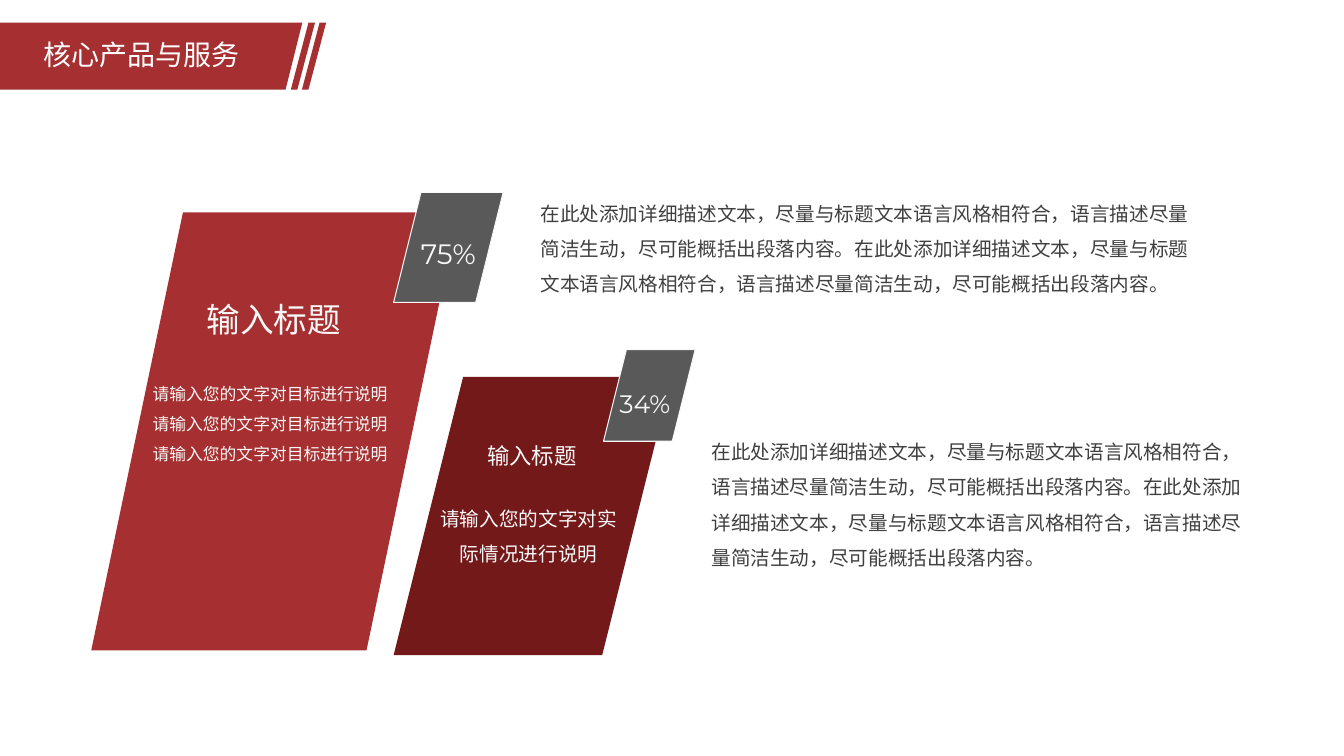
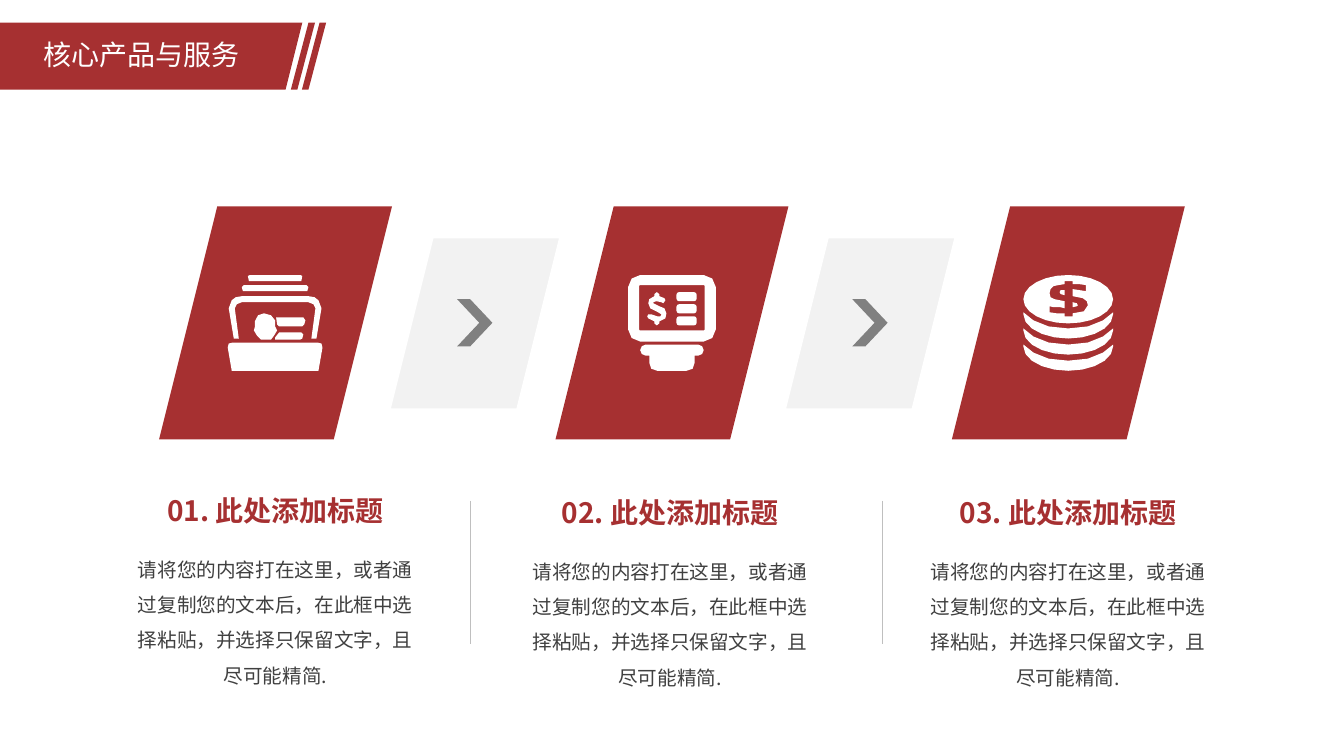
from math import cos, radians, sin

from lxml import etree
from pptx import Presentation
from pptx.dml.color import RGBColor
from pptx.enum.shapes import MSO_CONNECTOR, MSO_SHAPE
from pptx.enum.text import MSO_ANCHOR, MSO_AUTO_SIZE, PP_ALIGN
from pptx.oxml.ns import qn
from pptx.util import Cm, Pt

# ---- Shared style ----
COLORS = {
    "red": "A63031", "dark_red": "74191A", "gray": "595959", "arrow": "808080",
    "pale": "F2F2F2", "rule": "BFBFBF", "text": "404040",
    "light": "F8F8F8", "white": "FFFFFF",
}
CJK, LATIN = "Noto Sans CJK SC", "Montserrat"
SLANT = MSO_SHAPE.PARALLELOGRAM
WIDE_INSET, TIGHT_INSET = (0.25, 0.13), (0.19, 0.1)

TITLE = "核心产品与服务"
BAND_TOP, BAND_H = 0.57, 1.69
STRIPES = (7.33, 7.61)

# ---- Slide 1 content: boxes are left, top, width, height in cm ----
PANELS = [
    ((2.3, 5.35, 9.25, 11.04), "red"),
    ((9.92, 9.5, 7.01, 7.01), "dark_red"),
]
BADGES = [(9.92, 4.85, 2.76, 2.77), (15.21, 8.81, 2.31, 2.31)]
DETAIL = ("在此处添加详细描述文本，尽量与标题文本语言风格相符合，"
          "语言描述尽量简洁生动，尽可能概括出段落内容。") * 2
# box, text, size, font, colour, centred, wrapped
LABELS = [
    ((10.27, 5.86, 2.06, 1.04), "75%", 20, LATIN, "light", True, False),
    ((15.42, 9.68, 1.88, 0.97), "34%", 18, LATIN, "light", False, False),
    ((5.02, 7.44, 3.81, 1.22), "输入标题", 24, CJK, "light", False, False),
    ((3.51, 9.31, 6.6, 2.41), "请输入您的文字对目标进行说明" * 3,
     12, CJK, "light", True, True),
    ((12.09, 11.05, 2.67, 0.86), "输入标题", 16, CJK, "light", False, False),
    ((10.85, 12.37, 4.95, 1.83), "请输入您的文字对实际情况进行说明",
     14, CJK, "light", True, True),
    ((13.43, 4.69, 16.94, 2.74), DETAIL, 14, CJK, "text", False, True),
    ((17.74, 10.69, 14.17, 3.63), DETAIL, 14, CJK, "text", False, True),
]

# ---- Slide 2 content ----
STEP_TITLE = "此处添加标题"
STEP_BODY = ("请将您的内容打在这里，或者通过复制您的文本后，"
             "在此框中选择粘贴，并选择只保留文字，且尽可能精简.")
STEP_TEXT_AT = [(3.17, 12.4), (13.12, 12.45), (23.15, 12.45)]
TILE_X, TILE_Y, TILE, TILE_PITCH = 4.01, 5.2, 5.87, 9.99
LINK_X, LINK_Y, LINK, LINK_PITCH = 9.74, 5.92, 4.46, 9.96
RULES_X, RULE_TOP, RULE_BOTTOM = (11.84, 22.22), 12.62, 16.23
ICON_X, ICON_Y = (5.74, 15.83, 25.79), 6.93


# ---- Icon outlines, on a grid of 100 units to 2.54 cm ----
GRID = 0.0254


def arc(cx, cy, rx, ry, start, end, steps):
    angles = [radians(start + (end - start) * i / steps) for i in range(steps + 1)]
    return [(cx + rx * cos(a), cy + ry * sin(a)) for a in angles]


def rounded(x, y, w, h, r):
    corners = [(x + w - r, y + h - r), (x + r, y + h - r), (x + r, y + r), (x + w - r, y + r)]
    return [pt for i, (cx, cy) in enumerate(corners)
            for pt in arc(cx, cy, r, r, 90 * i, 90 * i + 90, 2)]


def mirrored(left, width):
    return left + [(width - x, y) for x, y in reversed(left)]


def coin_edge(shift):
    rim = [(0, 37), (10, 45), (25, 51), (44.5, 53)]
    edge = mirrored(rim[:-1], 89)
    edge.insert(3, rim[-1])
    edge += arc(44.5, 39, 44.5, 24, 0, 180, 10)
    return [(x, y + shift) for x, y in edge]


FILE_ICON = [
    mirrored([(21, 6), (20, 1), (22, 0)], 94),
    mirrored([(15, 16), (14, 12), (16, 10)], 94),
    mirrored([(14, 27), (9, 29), (7, 33), (11, 63), (6, 63),
              (1, 33), (4, 25), (8, 22), (14, 21)], 94),
    mirrored([(4, 95), (0, 72), (1, 68), (5, 67)], 94),
    [(36, 38), (30, 40), (27, 46), (27, 51), (26, 55), (29, 60), (33, 64),
     (43, 64), (46, 60), (49, 55), (47, 51), (47, 45), (43, 40)],
    [(48, 42), (75, 42), (77, 45), (76, 49), (74, 51), (51, 51), (49, 49)],
    [(51, 57), (73, 57), (75, 59), (74, 63), (72, 64), (47, 64), (47, 62)],
]
TERMINAL_ICON = [
    rounded(0, 0, 87, 66, 12),
    rounded(11, 10, 65, 45, 1),
    *[rounded(48, y, 20, 9, 2.5) for y in (17, 29, 41)],
    rounded(12, 69, 63, 11, 5.5)[:6] + rounded(12, 69, 63, 11, 5.5)[6:],
    [(31, 31), (25, 28), (25, 27), (28, 26), (33, 27), (35, 28), (37, 25), (36, 23),
     (31, 21), (31, 19), (28.5, 17), (26, 19), (26, 21), (21, 24), (20, 28), (22, 33),
     (28, 36), (33, 39), (32, 41), (29, 41), (23, 39), (20, 39), (19, 41), (20, 43),
     (26, 46), (26, 48), (28.5, 50), (31, 48), (31, 46), (37, 43), (38, 38), (36, 33)],
    mirrored([(21, 80), (21, 87), (23, 93), (29, 95)][::-1], 87),
]
COINS_ICON = [
    arc(44.5, 24, 44.5, 24, 0, 345, 23),
    [(41, 6), (41, 9), (35, 10), (30, 11), (27, 14), (26, 18), (27, 22), (31, 24),
     (36, 25), (41, 26), (41, 33), (37, 32), (30, 32), (26, 31), (26, 37), (33, 38),
     (41, 38), (41, 41), (49, 41), (49, 38), (60, 36), (64, 30), (63, 26), (59, 23),
     (54, 22), (49, 21), (49, 14), (62, 16), (62, 10), (55, 9), (49, 9), (49, 6)],
    [(49, 27), (53, 28), (54, 30), (53, 31), (49, 32)],
    [(41, 15), (41, 20), (37, 19), (36, 17), (37, 15)],
    *[coin_edge(shift) for shift in (0, 16, 32)],
]
ICONS = (FILE_ICON, TERMINAL_ICON, COINS_ICON)


# ---- Helpers ----
def rgb(name):
    return RGBColor.from_string(COLORS[name])


def paint(sp, fill, line=None):
    sp.shadow.inherit = False
    sp.fill.solid()
    sp.fill.fore_color.rgb = rgb(fill)
    if line:
        sp.line.color.rgb = rgb(line[0])
        sp.line.width = Pt(line[1])
    else:
        sp.line.fill.background()


def add_shape(s, kind, box, fill, line=None, adj=None):
    sp = s.shapes.add_shape(kind, *[Cm(v) for v in box])
    paint(sp, fill, line)
    if adj is not None:
        sp.adjustments[0] = adj


def add_icon(s, outlines, x, y):
    """One freeform; outlines inside another cut holes."""
    fb = None
    for outline in outlines:
        first, *rest = [(Cm(x + px * GRID), Cm(y + py * GRID)) for px, py in outline]
        if fb is None:
            fb = s.shapes.build_freeform(*first)
        else:
            fb.move_to(*first)
        fb.add_line_segments(rest, close=True)
    paint(fb.convert_to_shape(), "white")


def add_text(s, box, text, size, color, font=CJK, center=False, wrap=True,
             spacing=None, bold=False, inset=WIDE_INSET, grow=False, bottom=False):
    tf = s.shapes.add_textbox(*[Cm(v) for v in box]).text_frame
    tf.word_wrap = wrap
    tf.auto_size = MSO_AUTO_SIZE.SHAPE_TO_FIT_TEXT if grow else MSO_AUTO_SIZE.NONE
    tf.vertical_anchor = MSO_ANCHOR.BOTTOM if bottom else MSO_ANCHOR.TOP
    tf.margin_left = tf.margin_right = Cm(inset[0])
    tf.margin_top = tf.margin_bottom = Cm(inset[1])
    p = tf.paragraphs[0]
    p.alignment = PP_ALIGN.CENTER if center else PP_ALIGN.LEFT
    if spacing:
        p.line_spacing = spacing
    r = p.add_run()
    r.text = text
    r.font.size = Pt(size)
    r.font.bold = bold
    r.font.color.rgb = rgb(color)
    r.font.name = font
    etree.SubElement(r.font._element, qn("a:ea"), typeface=font)


def add_rule(s, x, top, bottom):
    c = s.shapes.add_connector(MSO_CONNECTOR.STRAIGHT, Cm(x), Cm(top), Cm(x), Cm(bottom))
    c.line.color.rgb = rgb("rule")
    c.line.width = Pt(0.25)
    etree.SubElement(c._element.spPr, qn("a:effectLst"))


def new_slide(prs):
    """Blank slide with the slanted title band."""
    s = prs.slides.add_slide(prs.slide_layouts[6])
    add_shape(s, SLANT, (-0.46, BAND_TOP, 8.08, BAND_H), "red")
    for x in STRIPES:
        add_shape(s, SLANT, (x, BAND_TOP, 0.61, BAND_H), "red", adj=0.73)
    add_text(s, (0.84, 0.81, 5.51, 1.12), TITLE, 20, "white", wrap=False, grow=True)
    return s


# ---- Slides ----
def build_share_slide(prs):
    s = new_slide(prs)
    for box, color in PANELS:
        add_shape(s, SLANT, box, color)
    for box in BADGES:
        add_shape(s, SLANT, box, "gray", line=("light", 0.75))
    for box, text, size, font, color, center, wrap in LABELS:
        add_text(s, box, text, size, color, font, center, wrap,
                 spacing=1.5 if wrap else None, inset=TIGHT_INSET, grow=True)


def build_steps_slide(prs):
    s = new_slide(prs)
    for i in range(len(ICONS)):
        add_shape(s, SLANT, (TILE_X + i * TILE_PITCH, TILE_Y, TILE, TILE), "red")
    # Links between the tiles
    for i, rule_x in enumerate(RULES_X):
        x = LINK_X + i * LINK_PITCH
        add_shape(s, SLANT, (x, LINK_Y, LINK, LINK), "pale", line=("white", 5))
        add_shape(s, MSO_SHAPE.CHEVRON, (x + 1.78, 7.54, 0.89, 1.19), "arrow", adj=0.63)
        add_rule(s, rule_x, RULE_TOP, RULE_BOTTOM)
    for outlines, x in zip(ICONS, ICON_X):
        add_icon(s, outlines, x, ICON_Y)
    # Captions
    for i, (x, y) in enumerate(STEP_TEXT_AT, 1):
        add_text(s, (x + 0.32, y, 6.91, 1.02), f"{i:02}. {STEP_TITLE}", 20, "red",
                 center=True, bold=True, bottom=True)
        add_text(s, (x, y + 1.23, 7.54, 2.54), STEP_BODY, 14, "text",
                 center=True, spacing=1.5)


def main():
    prs = Presentation()
    prs.slide_width, prs.slide_height = Cm(33.87), Cm(19.05)
    build_share_slide(prs)
    build_steps_slide(prs)
    prs.save("out.pptx")


if __name__ == "__main__":
    main()
